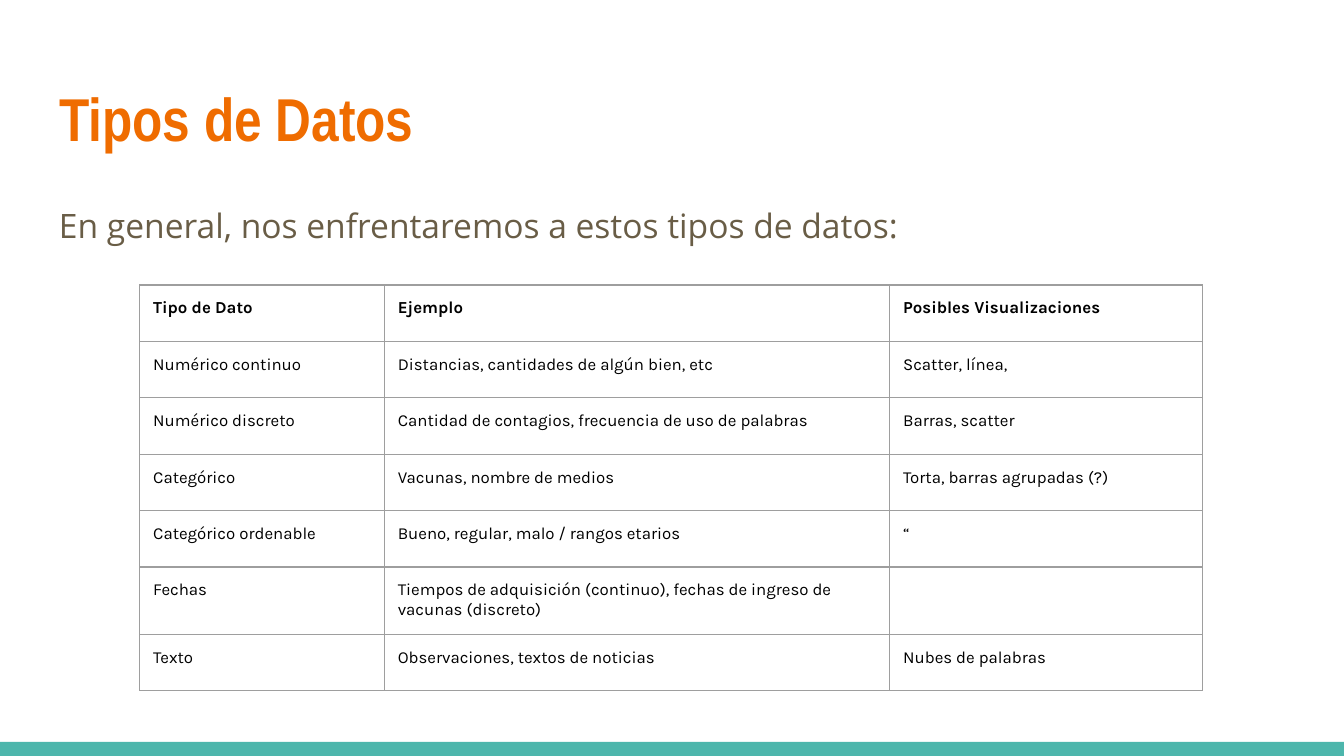
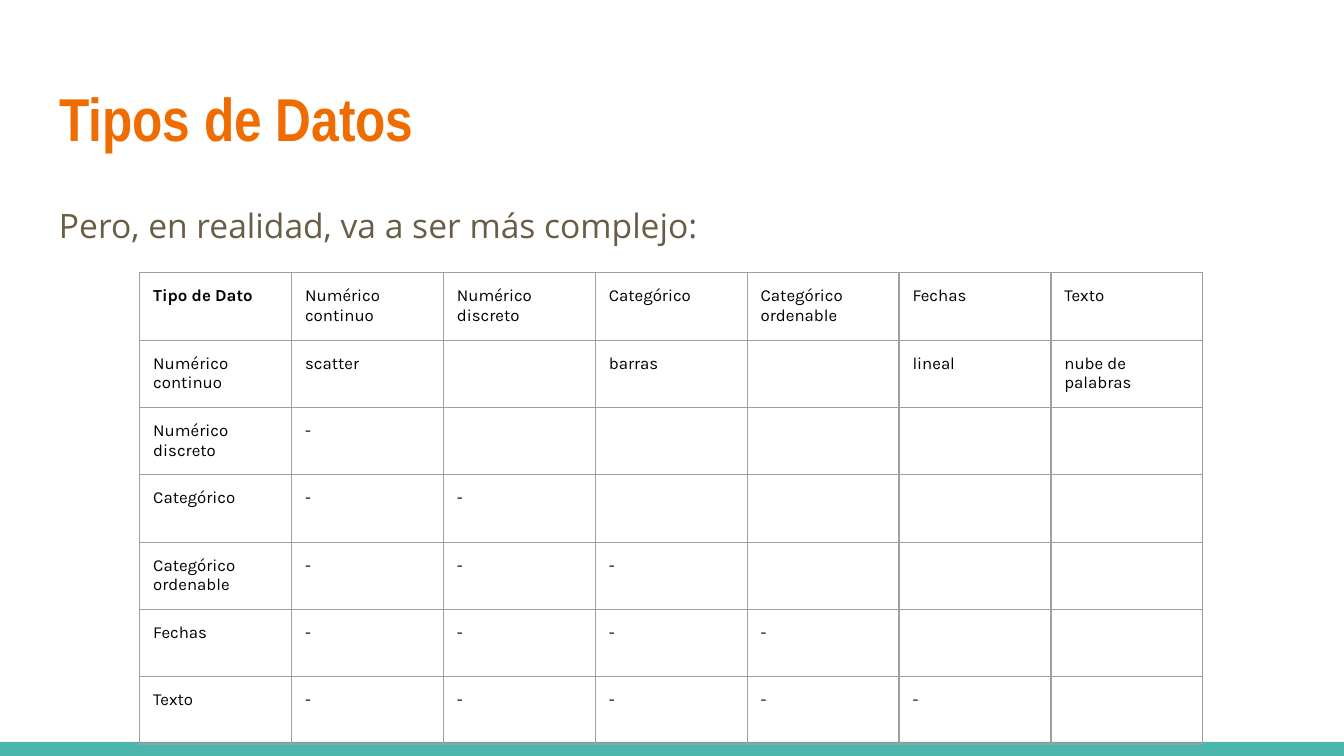
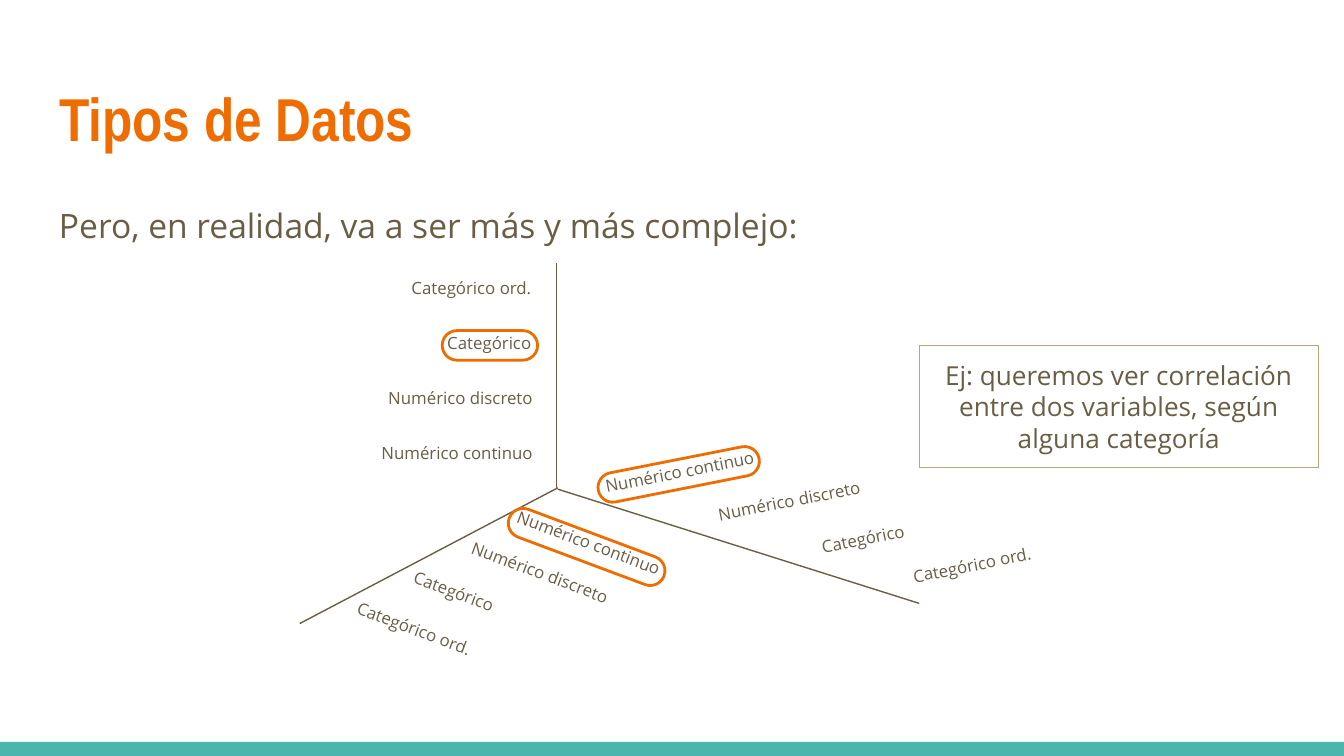
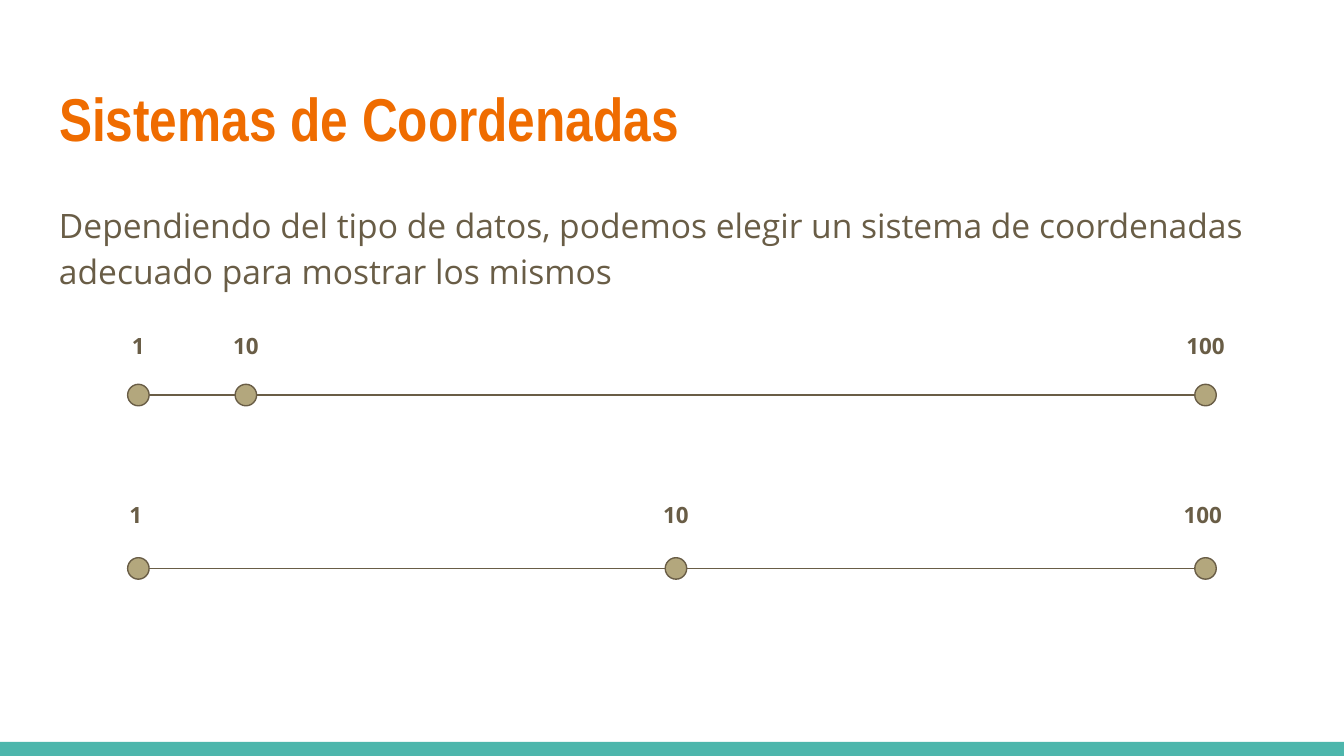
from lxml.etree import SubElement
from pptx import Presentation
from pptx.dml.color import RGBColor
from pptx.enum.shapes import MSO_CONNECTOR, MSO_SHAPE
from pptx.enum.text import MSO_ANCHOR, PP_ALIGN
from pptx.oxml.ns import qn
from pptx.util import Inches, Pt

HUES = {
    "title": "EF6C00", "body": "695D46", "band": "4DB6AC",
    "sand": "B3A77D", "grid": "9E9E9E", "cell": "000000",
}
HEAD, BODY, CELL = "Arial Narrow", "Open Sans", "Karla"

TYPES = "Tipos de Datos"
KINDS = ["Numérico continuo", "Numérico discreto", "Categórico",
         "Categórico ordenable", "Fechas", "Texto"]
SHORT = KINDS[:3] + ["Categórico ord."]

USES = [
    ["Tipo de Dato", "Ejemplo", "Posibles Visualizaciones"],
    [KINDS[0], "Distancias, cantidades de algún bien, etc", "Scatter, línea,"],
    [KINDS[1], "Cantidad de contagios, frecuencia de uso de palabras",
     "Barras, scatter"],
    [KINDS[2], "Vacunas, nombre de medios", "Torta, barras agrupadas (?)"],
    [KINDS[3], "Bueno, regular, malo / rangos etarios", "“"],
    [KINDS[4], "Tiempos de adquisición (continuo), fechas de ingreso de "
     "vacunas (discreto)", ""],
    [KINDS[5], "Observaciones, textos de noticias", "Nubes de palabras"],
]
FIRST = ["scatter", "", "barras", "", "lineal", "nube de palabras"]
PAIRS = [["Tipo de Dato"] + KINDS, [KINDS[0]] + FIRST] + [
    [kind] + ["-"] * n + [""] * (6 - n)
    for n, kind in enumerate(KINDS[1:], 1)
]

# Each axis: its line, the turn and corners of its labels, and its ring
AXES = [
    {"line": (4.14, 3.63, 4.14, 1.96), "turn": 0, "align": PP_ALIGN.RIGHT,
     "spots": [(2.65, 3.22), (2.65, 2.81), (2.64, 2.4), (2.64, 1.99)],
     "ring": (3.29, 2.46, 0.71, 0.22)},
    {"line": (2.23, 4.64, 4.15, 3.63), "turn": 20.5, "align": PP_ALIGN.LEFT,
     "spots": [(3.71, 3.9), (3.37, 4.13), (2.94, 4.35), (2.52, 4.58)],
     "ring": (3.75, 3.96, 1.23, 0.22)},
    {"line": (6.84, 4.49, 4.15, 3.64), "turn": 348.8, "align": PP_ALIGN.LEFT,
     "spots": [(4.4, 3.35), (5.24, 3.56), (6.01, 3.8), (6.69, 4.02)],
     "ring": (4.44, 3.42, 1.22, 0.22)},
]

# Each scale: line height, label top, then (mark, dot centre, label centre)
SCALES = [
    (2.94, 2.4, [("1", 1.03, 1.03), ("10", 1.83, 1.83), ("100", 8.97, 8.97)]),
    (4.23, 3.66, [("1", 1.03, 1.01), ("10", 5.03, 5.03), ("100", 8.97, 8.95)]),
]
DOT = 0.16


def hue(name):
    return RGBColor.from_string(HUES[name])


def style(para, size, face=BODY, color="body", bold=False):
    font = para.font
    font.size, font.name, font.bold = Pt(size), face, bold
    font.color.rgb = hue(color)


def pad(frame):
    frame.word_wrap = True
    frame.margin_left = frame.margin_right = Inches(0.1)
    frame.margin_top = frame.margin_bottom = Inches(0.1)


def write(slide, text, box, size, align=PP_ALIGN.LEFT, bold=False):
    shape = slide.shapes.add_textbox(*map(Inches, box))
    pad(shape.text_frame)
    para = shape.text_frame.paragraphs[0]
    para.text, para.alignment = text, align
    style(para, size, bold=bold)
    return shape


def draw(slide, kind, box, fill=None, edge=None, width=0.75):
    shape = slide.shapes.add_shape(kind, *map(Inches, box))
    shape.shadow.inherit = False
    if fill:
        shape.fill.solid()
        shape.fill.fore_color.rgb = hue(fill)
    else:
        shape.fill.background()
    if edge:
        shape.line.color.rgb = hue(edge)
        shape.line.width = Pt(width)
    else:
        shape.line.fill.background()
    return shape


def rule(slide, ends):
    line = slide.shapes.add_connector(MSO_CONNECTOR.STRAIGHT,
                                      *map(Inches, ends))
    line.line.color.rgb = hue("body")
    line.line.width = Pt(0.75)
    SubElement(line._element.spPr, qn("a:effectLst"))


def start(prs, title, lead, high):
    """Add a slide with band, title and lead text."""
    slide = prs.slides.add_slide(prs.slide_layouts[5])
    draw(slide, MSO_SHAPE.RECTANGLE, (0, 5.52, 10, 0.11), "band")
    head = slide.shapes.title
    head.left, head.top = Inches(0.34), Inches(0.49)
    head.width, head.height = Inches(9.32), Inches(0.77)
    frame = head.text_frame
    pad(frame)
    frame.vertical_anchor = MSO_ANCHOR.MIDDLE
    para = frame.paragraphs[0]
    para.text, para.alignment = title, PP_ALIGN.LEFT
    style(para, 32.4, HEAD, "title", True)
    box = write(slide, lead, (0.34, 1.38, 9.32, high), 18)
    para = box.text_frame.paragraphs[0]
    para.line_spacing, para.space_after = 1.15, Pt(12)
    return slide


def frame_cell(cell):
    """Clear the fill and draw the four borders."""
    cell.fill.background()
    props = cell._tc.get_or_add_tcPr()
    for n, side in enumerate(("lnL", "lnR", "lnT", "lnB")):
        edge = SubElement(props, qn("a:" + side), w=str(Pt(0.75)))
        fill = SubElement(edge, qn("a:solidFill"))
        SubElement(fill, qn("a:srgbClr"), val=HUES["grid"])
        props.insert(n, edge)


def add_grid(slide, rows, top, widths, heads):
    """Add a table whose first row has `heads` bold cells."""
    high = 0.42
    table = slide.shapes.add_table(
        len(rows), len(widths), Inches(1.04), Inches(top),
        Inches(sum(widths)), Inches(high * len(rows))).table
    table.first_row = table.horz_banding = False
    for col, wide in zip(table.columns, widths):
        col.width = Inches(wide)
    for r, row in enumerate(rows):
        table.rows[r].height = Inches(high)
        for c, text in enumerate(row):
            cell = table.cell(r, c)
            frame_cell(cell)
            cell.margin_left = cell.margin_right = Inches(0.1)
            cell.margin_top = cell.margin_bottom = Inches(0.1)
            para = cell.text_frame.paragraphs[0]
            if text:
                para.text = text
                style(para, 9, CELL, "cell", r == 0 and c < heads)
            else:
                end = SubElement(para._p, qn("a:endParaRPr"), sz="1800")
                SubElement(end, qn("a:latin"), typeface=CELL)


def add_axes(slide):
    for axis in AXES:
        rule(slide, axis["line"])
    note = draw(slide, MSO_SHAPE.RECTANGLE, (6.84, 2.57, 2.97, 0.91),
                edge="sand")
    pad(note.text_frame)
    para = note.text_frame.paragraphs[0]
    para.text = ("Ej: queremos ver correlación entre dos variables, "
                 "según alguna categoría")
    para.alignment = PP_ALIGN.CENTER
    style(para, 14)
    for axis in AXES:
        for text, (x, y) in zip(SHORT, axis["spots"]):
            label = write(slide, text, (x, y, 1.41, 0.35), 9, axis["align"])
            label.rotation = axis["turn"]
    for axis in AXES:
        ring = draw(slide, MSO_SHAPE.ROUNDED_RECTANGLE, axis["ring"],
                    edge="title", width=1.5)
        ring.adjustments[0] = 0.5
        ring.rotation = axis["turn"]


def add_scale(slide, y, top, marks):
    rule(slide, (marks[0][1] + DOT / 2, y, marks[-1][1] - DOT / 2, y))
    for text, x, mid in marks:
        draw(slide, MSO_SHAPE.OVAL, (x - DOT / 2, y - DOT / 2, DOT, DOT),
             "sand", "body")
        wide = 0.54 if len(text) > 2 else 0.46
        label = write(slide, text, (mid - wide / 2, top, wide, 0.34), 12,
                      PP_ALIGN.CENTER, True)
        label.text_frame.vertical_anchor = MSO_ANCHOR.MIDDLE


def main():
    prs = Presentation()
    prs.slide_width, prs.slide_height = Inches(10), Inches(5.625)

    slide = start(prs, TYPES,
                  "En general, nos enfrentaremos a estos tipos de datos:", 3.61)
    add_grid(slide, USES, 2.12, [1.82, 3.76, 2.33], 3)

    slide = start(prs, TYPES, "Pero, en realidad, va a ser más complejo:", 3.61)
    add_grid(slide, PAIRS, 2.03, [1.13] * 7, 1)

    slide = start(prs, TYPES,
                  "Pero, en realidad, va a ser más y más complejo:", 0.67)
    add_axes(slide)

    slide = start(prs, "Sistemas de Coordenadas",
                  "Dependiendo del tipo de datos, podemos elegir un sistema de "
                  "coordenadas adecuado para mostrar los mismos", 0.96)
    for scale in SCALES:
        add_scale(slide, *scale)

    prs.save("out.pptx")


if __name__ == "__main__":
    main()
